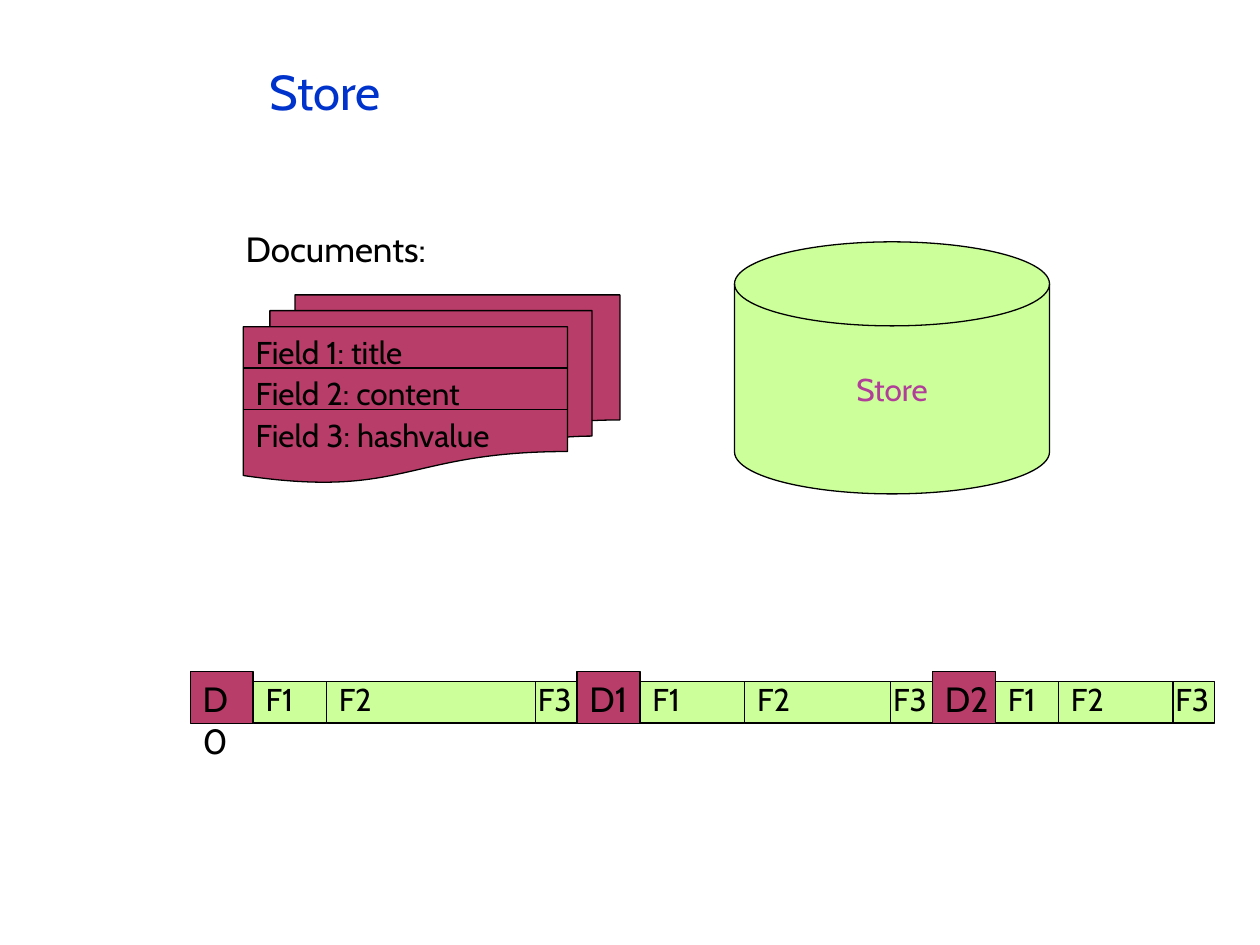
"""Build a slide on how a store lays out document fields."""
from typing import NamedTuple

from lxml import etree
from pptx import Presentation
from pptx.dml.color import RGBColor
from pptx.enum import shapes as sh, text as tx
from pptx.oxml import ns
from pptx.util import Inches, Pt

FONT = "Cabin"
BLACK, BLUE, PINK = "000000", "0033CC", "B13F9A"
GREEN, RED = "CCFF99", "B83D68"


class Box(NamedTuple):
    left: float
    top: float
    width: float
    height: float


class Record(NamedTuple):
    name: str
    widths: tuple[float, ...]


RECORDS = [
    Record("D0", (0.58, 1.66, 0.33)),
    Record("D1", (0.83, 1.16, 0.33)),
    Record("D2", (0.5, 0.91, 0.33)),
]
FIELDS = ["title", "content", "hashvalue"]


def color(code: str) -> RGBColor:
    """Turn a hex string into a colour."""
    return RGBColor.from_string(code)


def write(shape, words: str, size: float, code: str = BLACK,
          wrap: bool = False, align=tx.PP_ALIGN.LEFT) -> None:
    """Put one formatted paragraph into a shape."""
    frame = shape.text_frame
    frame.text = words
    frame.auto_size = tx.MSO_AUTO_SIZE.NONE
    frame.word_wrap = wrap
    para = frame.paragraphs[0]
    para.alignment = align
    para.font.name = FONT
    para.font.size = Pt(size)
    para.font.color.rgb = color(code)


def label(slide, box: Box, words: str, size: float, wrap: bool = False) -> None:
    """Add a text box."""
    write(slide.shapes.add_textbox(*map(Inches, box)), words, size, wrap=wrap)


def block(slide, kind, box: Box, fill: str):
    """Add a filled shape with a thin black outline."""
    shape = slide.shapes.add_shape(kind, *map(Inches, box))
    shape.shadow.inherit = False
    shape.fill.solid()
    shape.fill.fore_color.rgb = color(fill)
    shape.line.color.rgb = color(BLACK)
    shape.line.width = Pt(0.75)
    return shape


def rule(slide, left: float, right: float, top: float) -> None:
    """Draw a thin horizontal line."""
    line = slide.shapes.add_connector(
        sh.MSO_CONNECTOR.STRAIGHT, *map(Inches, (left, top, right, top)))
    line.line.color.rgb = color(BLACK)
    line.line.width = Pt(0.75)
    etree.SubElement(line._element.spPr, ns.qn("a:effectLst"))


def heading(slide) -> None:
    """Place and format the title."""
    title = slide.shapes.title
    title.left, title.top, title.width, title.height = map(
        Inches, (2.04, 0.44, 1.2, 0.57))
    write(title, "Store", 28, BLUE)
    title.text_frame.vertical_anchor = tx.MSO_ANCHOR.TOP


def papers(slide) -> None:
    """Draw the stack of documents with its fields."""
    left, top, step = 1.93, 2.59, 0.33
    label(slide, Box(1.85, 1.76, 1.68, 0.43), "Documents:", 20)
    block(slide, sh.MSO_SHAPE.FLOWCHART_MULTIDOCUMENT,
          Box(left, 2.34, 2.99, 1.49), RED)
    for row, field in enumerate(FIELDS):
        y = top + row * step
        if row:
            rule(slide, left, 4.5, y)
        label(slide, Box(left, y, 2.82, 0.4),
              f"Field {row + 1}: {field}", 18, wrap=True)


def disk(slide) -> None:
    """Draw the store as a disk."""
    shape = block(slide, sh.MSO_SHAPE.FLOWCHART_MAGNETIC_DISK,
                  Box(5.83, 1.92, 2.5, 2), GREEN)
    write(shape, "Store", 18, PINK, align=tx.PP_ALIGN.CENTER)
    shape.text_frame.vertical_anchor = tx.MSO_ANCHOR.MIDDLE


def strip(slide) -> None:
    """Draw the records end to end, each header followed by its fields."""
    rect, x = sh.MSO_SHAPE.RECTANGLE, 1.51
    for name, widths in RECORDS:
        head = 0.5
        block(slide, rect, Box(x, 5.33, head, 0.41), RED)
        wrap = name == "D0"
        label(slide, Box(x, 5.33, head if wrap else 0.56, 0.43), name, 20, wrap)
        x += head
        for num, width in enumerate(widths, 1):
            block(slide, rect, Box(x, 5.41, width, 0.33), GREEN)
            shift = min(0, (width - 0.49) / 2)
            label(slide, Box(x + shift, 5.35, 0.49, 0.4), f"F{num}", 18)
            x += width


def main() -> None:
    """Build and save the slide."""
    deck = Presentation()
    deck.slide_width, deck.slide_height = Inches(10), Inches(7.5)
    slide = deck.slides.add_slide(deck.slide_layouts[5])
    heading(slide)
    disk(slide)
    papers(slide)
    strip(slide)
    deck.save("out.pptx")


if __name__ == "__main__":
    main()
